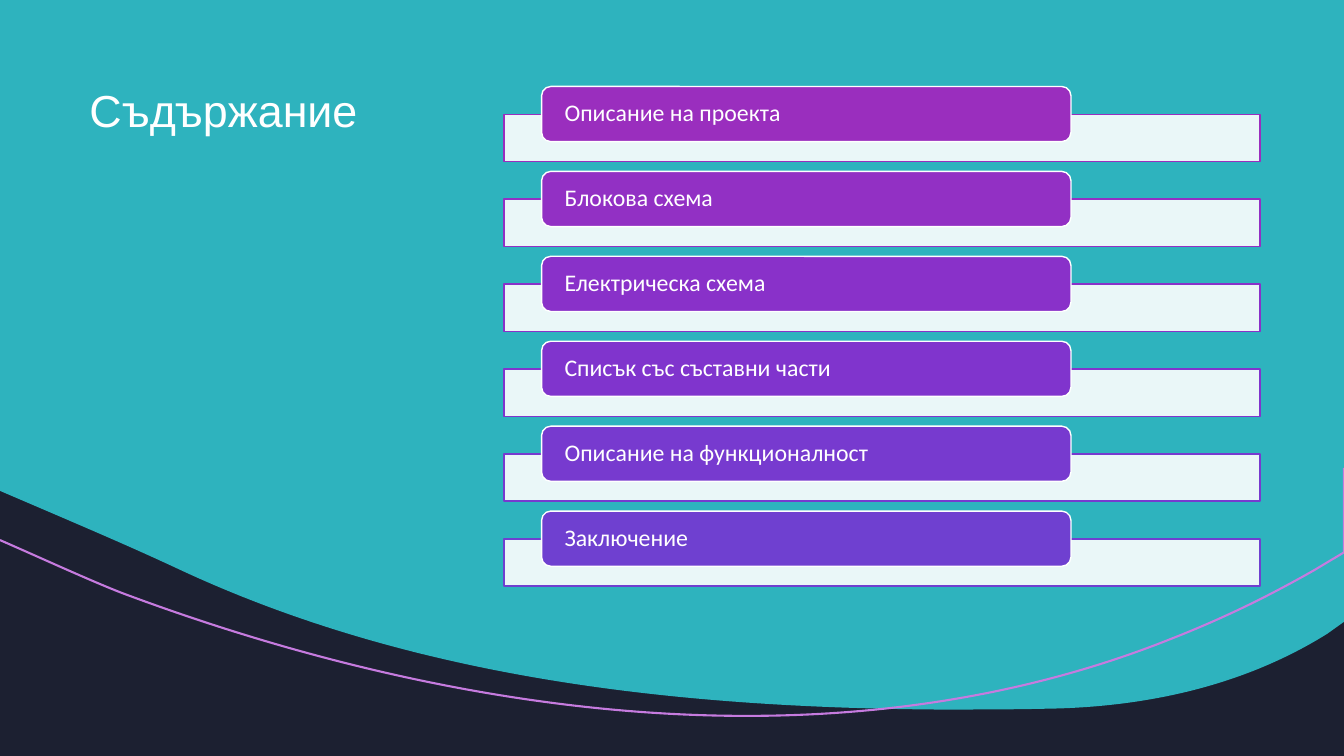
from dataclasses import dataclass

from lxml.etree import SubElement
from pptx import Presentation
from pptx.dml.color import RGBColor
from pptx.enum.shapes import MSO_SHAPE
from pptx.enum.text import MSO_ANCHOR, PP_ALIGN
from pptx.oxml.ns import qn
from pptx.util import Cm, Pt


@dataclass(frozen=True)
class Theme:
    """Colours, fonts and type sizes of the slide."""

    night: str = "1C2031"
    teal: str = "2EB3BE"
    orchid: str = "C67BDF"
    white: str = "FFFFFF"
    title_font: str = "Arial"
    title_size: int = 32
    label_font: str = "Calibri"
    label_size: int = 17
    bar_opacity: int = 90


THEME = Theme()
TOPICS = [
    ("Описание на проекта", "9A2EBE"),
    ("Блокова схема", "9230C4"),
    ("Електрическа схема", "8931C9"),
    ("Списък със съставни части", "8034CD"),
    ("Описание на функционалност", "773ACF"),
    ("Заключение", "6F40D0"),
]
FIRST_LABEL_TOP = 2.18
ROW_PITCH = 2.14
BAR_DROP = 0.7

TEAL_WAVE = [
    [(0, 0)],
    [(33.87, 0)],
    [(33.87, 15.67)],
    [(33.45, 15.97)],
    [(31.29, 17.32), (28.78, 17.83), (26.34, 17.86)],
    [(25.45, 17.88), (24.54, 17.88), (23.62, 17.88)],
    [(17.2, 17.83), (10.52, 17.15), (4.52, 14.35)],
    [(3.43, 13.84), (2.31, 13.36), (1.19, 12.88)],
    [(0, 12.37)],
]
ORCHID_ARC = [
    [(33.87, 11.79)],
    [(33.87, 13.92)],
    [(33.1, 14.38)],
    [(32.11, 14.94), (30.99, 15.52), (29.51, 16.1)],
    [(26.13, 17.45), (22.51, 18.04), (18.81, 18.04)],
    [(13.6, 18.04), (8.24, 16.86), (3.2, 14.99)],
    [(2.49, 14.73), (0.94, 14.02), (0, 13.61)],
]


def color(value):
    """Return the colour for a hex value."""
    return RGBColor.from_string(value)


def style_shape(shape, fill=None, line=None, width=1):
    """Set fill and line, and drop the shadow."""
    shape.shadow.inherit = False
    if fill:
        shape.fill.solid()
        shape.fill.fore_color.rgb = color(fill)
    else:
        shape.fill.background()
    if line:
        shape.line.color.rgb = color(line)
        shape.line.width = Pt(width)
    else:
        shape.line.fill.background()


def bend_lines(shape, segments):
    """Merge the three line steps of each curved segment into one cubic curve."""
    steps = iter(list(shape.element.iter(qn("a:lnTo"))))
    for segment in segments[1:]:
        first, *others = [next(steps) for _ in segment]
        if others:
            first.tag = qn("a:cubicBezTo")
            for step in others:
                first.append(step[0])
                step.getparent().remove(step)


def add_wave(slide, segments, closed, **style):
    """Draw an outline of straight and curved segments."""
    points = [(Cm(x), Cm(y)) for segment in segments for x, y in segment]
    builder = slide.shapes.build_freeform(*points[0], scale=1)
    builder.add_line_segments(points[1:], close=closed)
    wave = builder.convert_to_shape()
    bend_lines(wave, segments)
    style_shape(wave, **style)


def write_text(shape, text, font, size):
    """Write one left-aligned white run."""
    shape.text_frame.word_wrap = True
    paragraph = shape.text_frame.paragraphs[0]
    paragraph.alignment = PP_ALIGN.LEFT
    paragraph.line_spacing = 0.9
    run = paragraph.add_run()
    run.text = text
    run.font.name = font
    run.font.size = Pt(size)
    run.font.color.rgb = color(THEME.white)


def add_title(slide, text):
    """Place the title in front of the waves."""
    title = slide.shapes.title
    title.left, title.top, title.width, title.height = Cm(2), Cm(2.1), Cm(10), Cm(6.35)
    title.text_frame.vertical_anchor = MSO_ANCHOR.TOP
    write_text(title, text, THEME.title_font, THEME.title_size)
    title.element.getparent().append(title.element)


def add_bar(slide, top, accent):
    """Add the translucent bar behind a topic."""
    bar = slide.shapes.add_shape(
        MSO_SHAPE.RECTANGLE, Cm(12.7), Cm(top), Cm(19.06), Cm(1.19)
    )
    style_shape(bar, fill=THEME.white, line=accent)
    solid = bar.element.spPr.find(qn("a:solidFill"))
    SubElement(solid[0], qn("a:alpha"), val=str(THEME.bar_opacity * 1000))


def add_label(slide, top, text, accent):
    """Add the rounded label of a topic."""
    label = slide.shapes.add_shape(
        MSO_SHAPE.ROUNDED_RECTANGLE, Cm(13.65), Cm(top), Cm(13.34), Cm(1.39)
    )
    style_shape(label, fill=accent, line=THEME.white)
    frame = label.text_frame
    frame.margin_left = frame.margin_right = Cm(0.51)
    frame.margin_top = frame.margin_bottom = Cm(0)
    frame.vertical_anchor = MSO_ANCHOR.MIDDLE
    write_text(label, text, THEME.label_font, THEME.label_size)


def main():
    """Build the contents slide."""
    presentation = Presentation()
    presentation.slide_width = Cm(33.87)
    presentation.slide_height = Cm(19.05)
    slide = presentation.slides.add_slide(presentation.slide_layouts[5])
    slide.background.fill.solid()
    slide.background.fill.fore_color.rgb = color(THEME.night)
    add_wave(slide, TEAL_WAVE, closed=True, fill=THEME.teal)
    add_wave(slide, ORCHID_ARC, closed=False, line=THEME.orchid, width=1.5)
    add_title(slide, "Съдържание")
    for row, (text, accent) in enumerate(TOPICS):
        top = FIRST_LABEL_TOP + row * ROW_PITCH
        add_bar(slide, top + BAR_DROP, accent)
        add_label(slide, top, text, accent)
    presentation.save("out.pptx")


if __name__ == "__main__":
    main()
